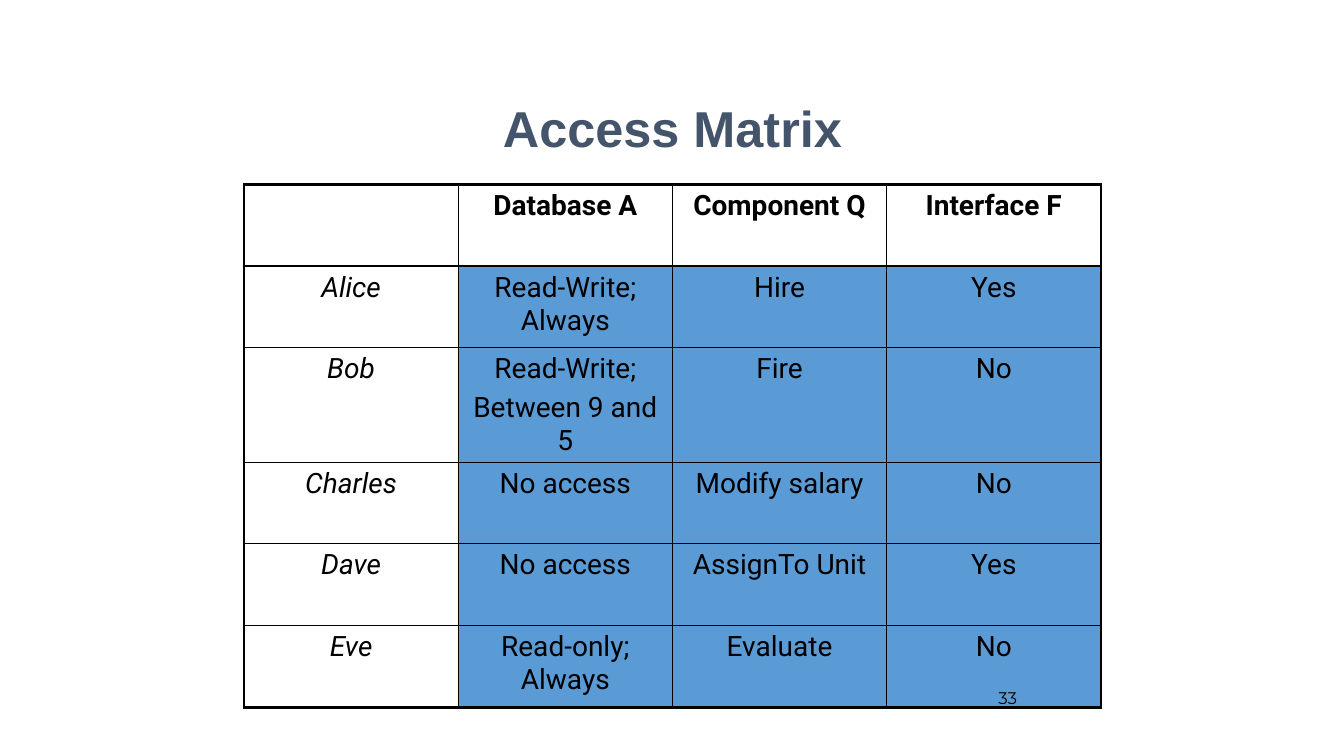
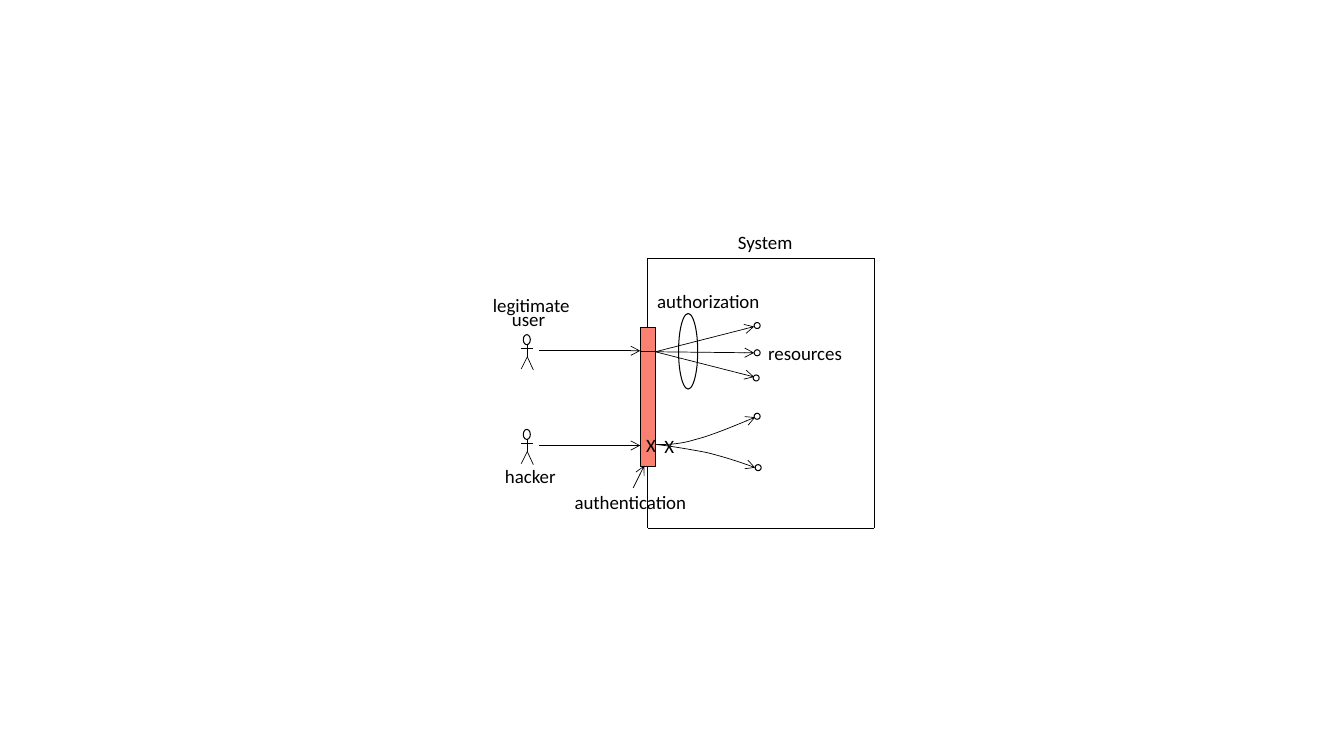
from dataclasses import dataclass
from lxml import etree
from pptx import Presentation
from pptx.dml.color import RGBColor
from pptx.enum.shapes import MSO_CONNECTOR as Connector, MSO_SHAPE as Preset
from pptx.enum.text import MSO_ANCHOR as Anchor, MSO_AUTO_SIZE as AutoSize, PP_ALIGN as Align
from pptx.oxml.ns import qn
from pptx.util import Inches, Pt


@dataclass(frozen=True)
class Theme:
    ink: str = "000000"
    title: str = "44546A"
    permission: str = "5B9BD5"
    barrier: str = "FA8072"
    title_font: str = "Arial"
    table_font: str = "Roboto"
    label_font: str = "Calibri"
    number_font: str = "Montserrat"
    title_size: float = 36
    table_size: float = 20
    label_size: float = 13.5
    number_size: float = 12
    thin: float = 0.5
    outline: float = 0.75
    grid: float = 1
    frame: float = 2.25


THEME = Theme()

# Access matrix content; a line break starts a new paragraph
MATRIX_TITLE = "Access Matrix"
PAGE_NUMBER = "33"
MATRIX = [
    ["", "Database A", "Component Q", "Interface F"],
    ["Alice", "Read-Write; Always", "Hire", "Yes"],
    ["Bob", "Read-Write;\nBetween 9 and 5", "Fire", "No"],
    ["Charles", "No access", "Modify salary", "No"],
    ["Dave", "No access", "AssignTo Unit", "Yes"],
    ["Eve", "Read-only; Always", "Evaluate", "No"],
]
ROW_HEIGHT, TALL_ROW_HEIGHT = 0.81, 1.13

# System diagram content
LABELS = [  # text, left, top, width
    ("resources", 7.52, 3.34, 0.95),
    ("authorization", 6.42, 2.82, 1.23),
    ("System", 7.22, 2.24, 0.75),
    ("X", 6.31, 4.25, 0.3),
    ("X", 6.49, 4.26, 0.3),
    ("hacker", 4.91, 4.56, 0.71),
    ("legitimate", 4.79, 2.86, 0.98),
    ("user", 4.98, 3, 0.54),
    ("authentication", 5.6, 4.81, 1.33),
]
LABEL_HEIGHT = 0.33
BARRIER = (6.35, 3.25, 0.15, 1.38)
SYSTEM_TOP, SYSTEM_RIGHT, SYSTEM_BOTTOM = 2.56, 8.67, 5.24
AUTHORIZATION_RING = (6.73, 3.11, 0.19, 0.75)
PERSON_X, PERSON_TOPS = 5.23, (3.32, 4.26)
PERSON_LIMBS = [  # offsets from the top centre of the head
    (-0.06, 0.14, 0.06, 0.14),
    (0, 0.1, 0, 0.22),
    (0, 0.22, -0.06, 0.34),
    (0, 0.22, 0.06, 0.35),
]
ENTRY_OFFSET = 0.16
ALLOWED = [  # arrow tip y, then left and top of the resource
    (3.24, 7.48, 3.2),
    (3.5, 7.48, 3.47),
    (3.74, 7.47, 3.72),
]
BLOCKED = [  # Bezier points of the path, then left and top of the resource
    ([(6.51, 4.41), (6.62, 4.41), (6.74, 4.41), (6.9, 4.36),
      (7.06, 4.32), (7.27, 4.23), (7.49, 4.14)], 7.48, 4.1),
    ([(6.51, 4.41), (6.68, 4.43), (6.85, 4.46), (7.01, 4.49),
      (7.17, 4.53), (7.33, 4.58), (7.49, 4.64)], 7.49, 4.61),
]
RESOURCE_SIZE = 0.06
CURVE_STEPS = 8


# Shared helpers
def color(value):
    return RGBColor.from_string(value)


def style_text(para, font, size, ink=THEME.ink, bold=False, italic=False):
    for span in para.runs:
        span.font.name, span.font.size = font, Pt(size)
        span.font.color.rgb = color(ink)
        span.font.bold, span.font.italic = bold, italic


def add_text(page, text, place, font, size, ink=THEME.ink, bold=False,
             align=Align.CENTER, anchor=Anchor.MIDDLE, wrap=True):
    box = page.shapes.add_textbox(*map(Inches, place))
    frame = box.text_frame
    frame.text = text
    frame.word_wrap = wrap
    frame.auto_size = AutoSize.NONE if wrap else AutoSize.SHAPE_TO_FIT_TEXT
    frame.vertical_anchor = anchor
    para = frame.paragraphs[0]
    para.alignment = align
    style_text(para, font, size, ink, bold)
    return box


def set_line(shape, width, arrow=False):
    shape.line.color.rgb = color(THEME.ink)
    shape.line.width = Pt(width)
    if arrow:
        etree.SubElement(shape.line._get_or_add_ln(), qn("a:tailEnd"), type="arrow")


def add_line(page, x1, y1, x2, y2, width=THEME.thin, arrow=False):
    line = page.shapes.add_connector(Connector.STRAIGHT, *map(Inches, (x1, y1, x2, y2)))
    set_line(line, width, arrow)
    etree.SubElement(line._element.spPr, qn("a:effectLst"))
    return line


def add_outline(page, preset, place, fill=None):
    shape = page.shapes.add_shape(preset, *map(Inches, place))
    shape.shadow.inherit = False
    if fill:
        shape.fill.solid()
        shape.fill.fore_color.rgb = color(fill)
    else:
        shape.fill.background()
    set_line(shape, THEME.outline)
    return shape


def set_borders(cell, widths):
    properties = cell._tc.get_or_add_tcPr()
    for index, (side, width) in enumerate(zip("LRTB", widths)):
        border = etree.Element(qn(f"a:ln{side}"), w=str(Pt(width)))
        fill = etree.SubElement(border, qn("a:solidFill"))
        etree.SubElement(fill, qn("a:srgbClr"), val=THEME.ink)
        properties.insert(index, border)


def curve_points(points):
    """Sample a chain of cubic Bezier segments."""
    sampled = [points[0]]
    for start in range(0, len(points) - 1, 3):
        segment = points[start:start + 4]
        for step in range(1, CURVE_STEPS + 1):
            t = step / CURVE_STEPS
            weights = ((1 - t) ** 3, 3 * t * (1 - t) ** 2, 3 * t * t * (1 - t), t ** 3)
            sampled.append(tuple(sum(w * point[axis] for w, point in zip(weights, segment))
                                 for axis in (0, 1)))
    return sampled


def add_curve(page, points):
    start, *rest = [(Inches(x), Inches(y)) for x, y in curve_points(points)]
    builder = page.shapes.build_freeform(*start)
    builder.add_line_segments(rest, close=False)
    curve = builder.convert_to_shape()
    curve.shadow.inherit = False
    curve.fill.background()
    set_line(curve, THEME.thin, arrow=True)


def add_resource(page, left, top):
    add_outline(page, Preset.OVAL, (left, top, RESOURCE_SIZE, RESOURCE_SIZE))


# Slide 1: access matrix
def build_matrix(page):
    title = add_text(page, MATRIX_TITLE, (2.17, 0.83, 9, 1), THEME.title_font,
                     THEME.title_size, THEME.title, bold=True, anchor=Anchor.TOP)
    title.text_frame.margin_top = Inches(0.13)

    heights = [TALL_ROW_HEIGHT if any("\n" in text for text in row) else ROW_HEIGHT
               for row in MATRIX]
    last_row, last_column = len(MATRIX) - 1, len(MATRIX[0]) - 1
    table = page.shapes.add_table(len(MATRIX), len(MATRIX[0]), Inches(2.42), Inches(1.83),
                                  Inches(8.5), Inches(sum(heights))).table
    table.first_row = table.horz_banding = False
    for r, row in enumerate(MATRIX):
        table.rows[r].height = Inches(heights[r])
        for c, text in enumerate(row):
            cell = table.cell(r, c)
            cell.text_frame.text = text
            for index, para in enumerate(cell.text_frame.paragraphs):
                para.alignment = Align.CENTER
                if index:
                    para.space_before = Pt(THEME.table_size * 0.2)
                style_text(para, THEME.table_font, THEME.table_size,
                           bold=r == 0, italic=c == 0)
            if r and c:
                cell.fill.solid()
                cell.fill.fore_color.rgb = color(THEME.permission)
            else:
                cell.fill.background()
            outer = (c == 0, c == last_column, r == 0, r == last_row)
            set_borders(cell, [THEME.frame if edge else THEME.grid for edge in outer])

    add_text(page, PAGE_NUMBER, (8.83, 6.67, 2.33, 0.5), THEME.number_font, THEME.number_size)


# Slide 2: authentication and authorization
def add_person(page, top):
    add_outline(page, Preset.OVAL, (PERSON_X - 0.04, top, 0.07, 0.1))
    for x1, y1, x2, y2 in PERSON_LIMBS:
        add_line(page, PERSON_X + x1, top + y1, PERSON_X + x2, top + y2)


def build_system(page):
    left, top, width, height = BARRIER
    right, middle = left + width, left + width / 2
    barrier = add_outline(page, Preset.RECTANGLE, BARRIER, THEME.barrier)

    # System frame, interrupted by the barrier
    for edge, barrier_edge, site in ((SYSTEM_TOP, top, 0), (SYSTEM_BOTTOM, top + height, 2)):
        add_line(page, middle, edge, SYSTEM_RIGHT, edge)
        add_line(page, middle, edge, middle, barrier_edge).end_connect(barrier, site)
    add_line(page, SYSTEM_RIGHT, SYSTEM_TOP, SYSTEM_RIGHT, SYSTEM_BOTTOM)

    # People and their way in
    for person_top in PERSON_TOPS:
        add_person(page, person_top)
        entry = person_top + ENTRY_OFFSET
        add_line(page, 5.35, entry, left, entry, arrow=True)
    add_line(page, 6.28, 4.84, 6.39, 4.62, arrow=True)

    # Allowed and blocked access
    add_line(page, left, 3.49, right, 3.49, THEME.outline)
    add_outline(page, Preset.OVAL, AUTHORIZATION_RING)
    for tip, resource_left, resource_top in ALLOWED:
        add_line(page, right, 3.49, 7.48, tip, arrow=True)
        add_resource(page, resource_left, resource_top)
    for points, resource_left, resource_top in BLOCKED:
        add_curve(page, points)
        add_resource(page, resource_left, resource_top)

    for text, x, y, label_width in LABELS:
        add_text(page, text, (x, y, label_width, LABEL_HEIGHT), THEME.label_font,
                 THEME.label_size, align=Align.LEFT, wrap=False)


def main():
    deck = Presentation()
    deck.slide_width, deck.slide_height = Inches(13.33), Inches(7.5)
    for build in (build_matrix, build_system):
        build(deck.slides.add_slide(deck.slide_layouts[6]))
    deck.save("out.pptx")


if __name__ == "__main__":
    main()
